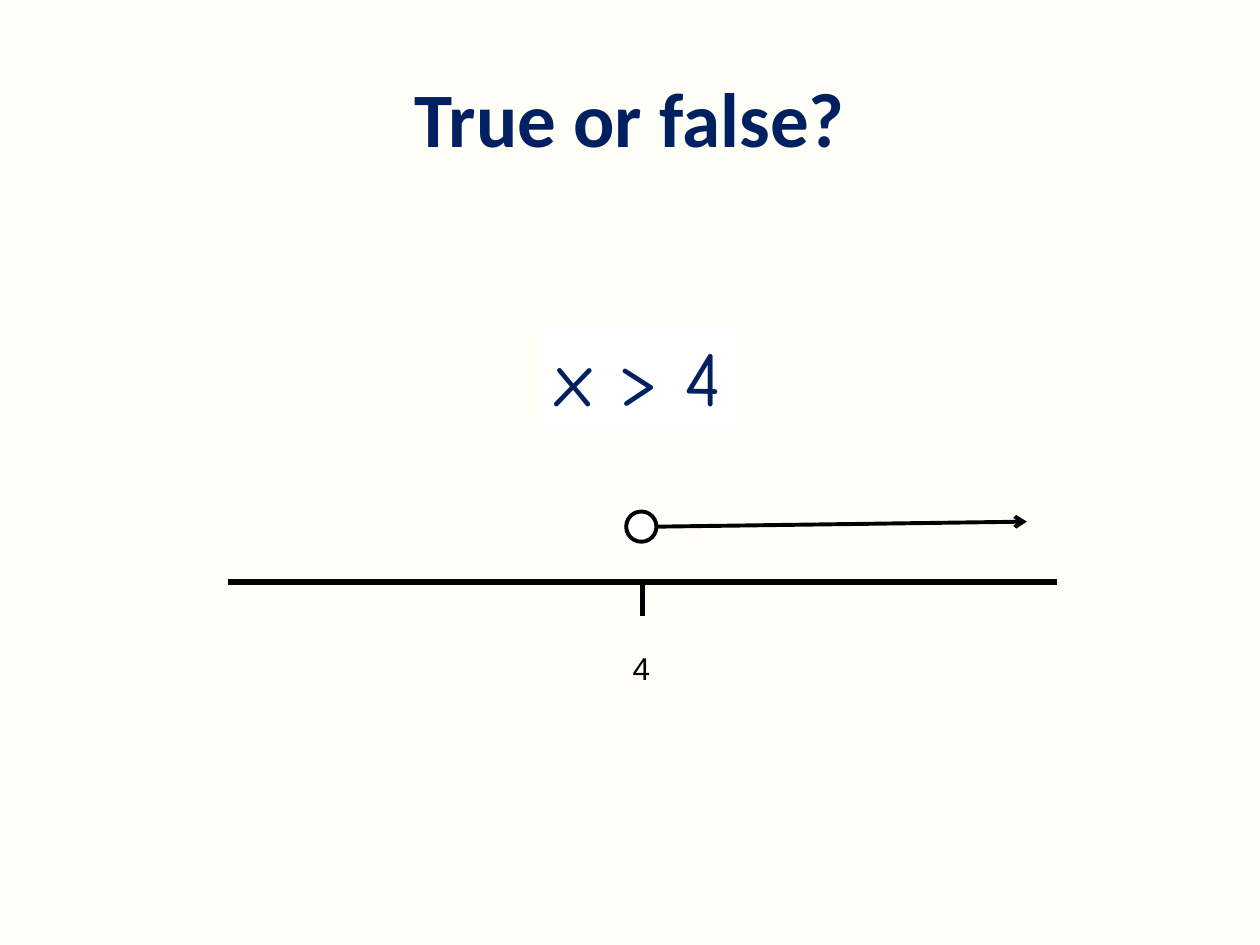
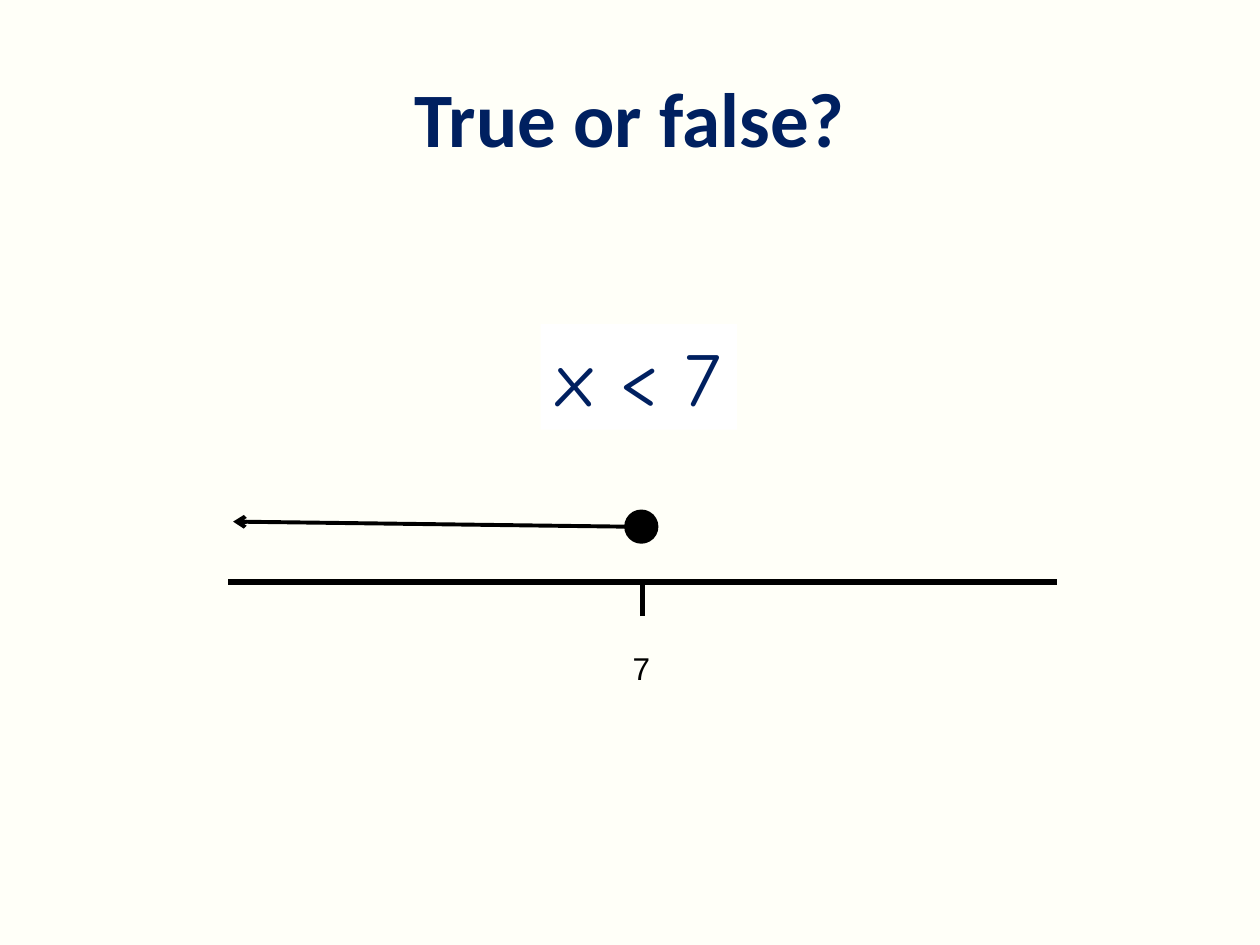
from dataclasses import dataclass

from lxml import etree
from pptx import Presentation
from pptx import util as u
from pptx.dml.color import RGBColor
from pptx.enum import shapes, text
from pptx.oxml.ns import qn

WIDTH, HEIGHT = 10, 7.5  # inches
COLOURS = {"paper": "FFFFF8", "navy": "002060", "black": "000000", "white": "FFFFFF"}

# Number line geometry, in inches
AXIS_LEFT, AXIS_RIGHT, AXIS_Y = 1.81, 8.39, 4.62
TICK_X, TICK_LENGTH = 5.1, 0.27
DOT_X, DOT_Y, DOT_SIZE = 5.09, 4.18, 0.24
RAY_MARGIN, RAY_END_Y = 0.185 * WIDTH, 4.14


@dataclass(frozen=True)
class Question:
    inequality: str
    boundary: str
    dot_fill: str
    direction: int  # 1 points right, -1 points left


QUESTIONS = [
    Question("x > 4", "4", "white", 1),
    Question("x < 7", "7", "black", -1),
]


def colour(name: str) -> RGBColor:
    return RGBColor.from_string(COLOURS[name])


def write(frame, words: str, *, font: str, size: float, ink: str = "black",
          bold: bool = False, after: float = 0, anchor=text.MSO_ANCHOR.TOP) -> None:
    frame.word_wrap = True
    frame.vertical_anchor = anchor
    frame.text = words
    line = frame.paragraphs[0]
    line.alignment = text.PP_ALIGN.CENTER
    line.space_after = u.Pt(after)
    style = line.runs[0].font
    style.name, style.size, style.bold = font, u.Pt(size), bold
    style.color.rgb = colour(ink)


def add_box(slide, left: float, top: float, width: float, height: float):
    return slide.shapes.add_textbox(*map(u.Inches, (left, top, width, height)))


def add_line(slide, start: tuple[float, float], end: tuple[float, float],
             weight: float, arrow: bool = False) -> None:
    stroke = slide.shapes.add_connector(
        shapes.MSO_CONNECTOR.STRAIGHT, *map(u.Inches, (*start, *end)))
    stroke.line.color.rgb = colour("black")
    stroke.line.width = u.Pt(weight)
    if arrow:
        etree.SubElement(stroke.line._get_or_add_ln(), qn("a:tailEnd"), type="arrow")
    etree.SubElement(stroke._element.spPr, qn("a:effectLst"))


def add_number_line(slide, question: Question) -> None:
    label = add_box(slide, 3.95, 0.68 * HEIGHT, 2.28, 0.4)
    write(label.text_frame, question.boundary, font="Arial", size=18, after=10)

    # Open or closed boundary dot
    radius = DOT_SIZE / 2
    dot = slide.shapes.add_shape(
        shapes.MSO_SHAPE.OVAL,
        *map(u.Inches, (DOT_X - radius, DOT_Y - radius, DOT_SIZE, DOT_SIZE)))
    dot.shadow.inherit = False
    dot.fill.solid()
    dot.fill.fore_color.rgb = colour(question.dot_fill)
    dot.line.color.rgb = colour("black")
    dot.line.width = u.Pt(2.25)

    # Axis, tick and solution ray
    add_line(slide, (AXIS_LEFT, AXIS_Y), (AXIS_RIGHT, AXIS_Y), 3)
    add_line(slide, (TICK_X, AXIS_Y + TICK_LENGTH), (TICK_X, AXIS_Y), 3)
    ray_end = WIDTH - RAY_MARGIN if question.direction > 0 else RAY_MARGIN
    add_line(slide, (DOT_X + question.direction * radius, DOT_Y),
             (ray_end, RAY_END_Y), 2.25, arrow=True)


def add_question(deck, question: Question) -> None:
    slide = deck.slides.add_slide(deck.slide_layouts.get_by_name("Title Only"))
    write(slide.shapes.title.text_frame, "True or false?", font="Calibri", size=44,
          ink="navy", bold=True, anchor=text.MSO_ANCHOR.MIDDLE)

    statement = add_box(slide, 4.29, 2.57, 1.56, 0.84)
    statement.fill.solid()
    statement.fill.fore_color.rgb = colour("white")
    write(statement.text_frame, question.inequality, font="Comic Neue", size=44,
          ink="navy", after=10)
    add_number_line(slide, question)


def main() -> None:
    deck = Presentation()
    deck.slide_width, deck.slide_height = u.Inches(WIDTH), u.Inches(HEIGHT)

    # Shared background and title position
    master = deck.slide_master
    master.background.fill.solid()
    master.background.fill.fore_color.rgb = colour("paper")
    title = master.placeholders[0]
    title.left, title.top = u.Inches(0.05 * WIDTH), u.Inches(0.04 * HEIGHT)
    title.width, title.height = u.Inches(0.9 * WIDTH), u.Inches(1.25)

    for question in QUESTIONS:
        add_question(deck, question)
    deck.save("out.pptx")


if __name__ == "__main__":
    main()
